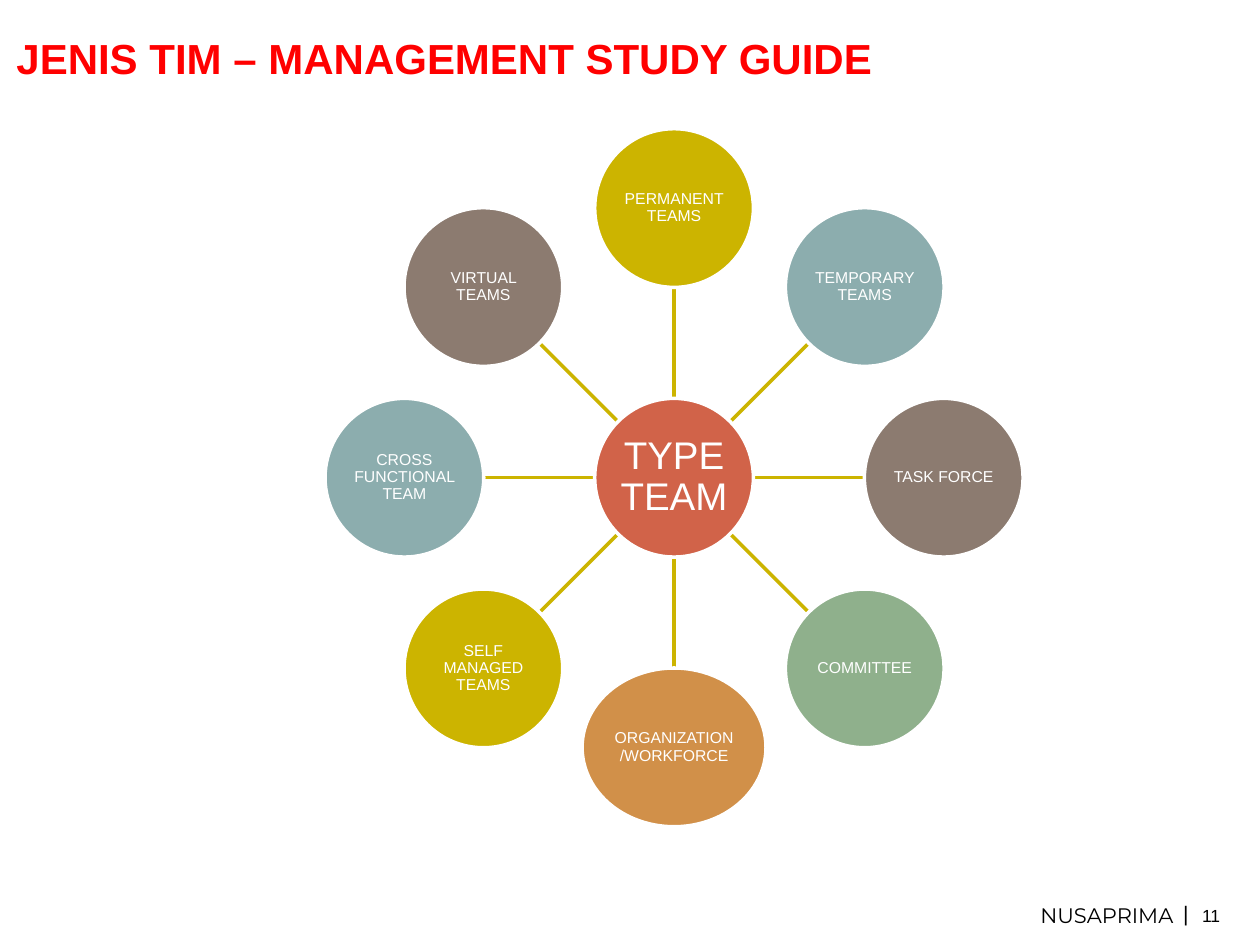
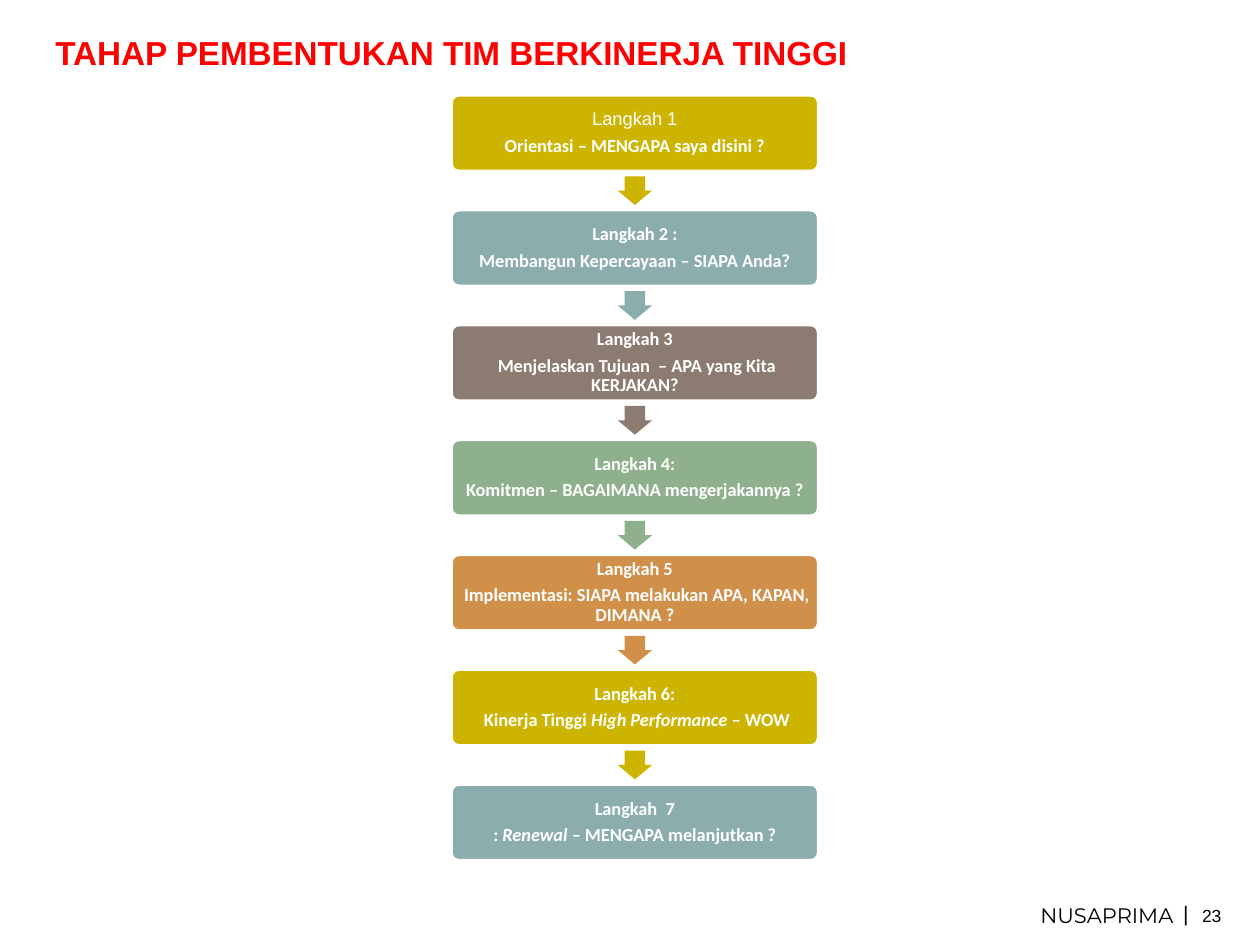
import math

import pptx
import pptx.dml.color
import pptx.enum.shapes
import pptx.enum.text
import pptx.oxml.ns
import pptx.util
from lxml import etree

Pt = pptx.util.Pt
RGBColor = pptx.dml.color.RGBColor
Shape = pptx.enum.shapes.MSO_SHAPE
Align = pptx.enum.text.PP_ALIGN
Anchor = pptx.enum.text.MSO_ANCHOR

WHITE = RGBColor(0xFF, 0xFF, 0xFF)
BLACK = RGBColor(0, 0, 0)
RED = RGBColor(0xFF, 0, 0)
RUST = RGBColor(0xD1, 0x63, 0x49)
GOLD = RGBColor(0xCC, 0xB4, 0x00)
TEAL = RGBColor(0x8C, 0xAD, 0xAE)
BROWN = RGBColor(0x8C, 0x7B, 0x70)
GREEN = RGBColor(0x8F, 0xB0, 0x8C)
ORANGE = RGBColor(0xD1, 0x90, 0x49)
ACCENTS = [GOLD, TEAL, BROWN, GREEN, ORANGE]

HUB_X, HUB_Y = 385.2, 273
ORBIT = 154.1
CIRCLE = 90.7
WIDE_CIRCLE = 105.1

STEP_LEFT, STEP_TOP = 257.8, 54.2
STEP_WIDTH, STEP_HEIGHT = 210, 43.8
STEP_PITCH = 65.64
ARROW_WIDTH, ARROW_HEIGHT = 19.6, 16.4

TEAMS = [
    "PERMANENT TEAMS",
    "TEMPORARY TEAMS",
    "TASK FORCE",
    "COMMITTEE",
    "ORGANIZATION /WORKFORCE",
    "SELF MANAGED TEAMS",
    "CROSS FUNCTIONAL TEAM",
    "VIRTUAL TEAMS",
]

# Each step: heading, then text pieces that alternate upright and italic.
STEPS = [
    ("Langkah 1", ["Orientasi – MENGAPA saya disini ?"]),
    ("Langkah 2 :", ["Membangun Kepercayaan – SIAPA Anda?"]),
    ("Langkah 3", [" Menjelaskan Tujuan  – APA yang Kita KERJAKAN?"]),
    ("Langkah 4:", ["Komitmen – BAGAIMANA mengerjakannya ?"]),
    ("Langkah 5", [" Implementasi: SIAPA melakukan APA, KAPAN, DIMANA ?"]),
    ("Langkah 6:", [" Kinerja Tinggi ", "High Performance", " – WOW"]),
    ("Langkah  7", [": ", "Renewal", " – MENGAPA melanjutkan ?"]),
]


def accent(index):
    return ACCENTS[index % len(ACCENTS)]


def set_font(para, size, color, name="Arial", bold=False):
    para.font.size = Pt(size)
    para.font.name = name
    para.font.bold = bold
    para.font.color.rgb = color


def set_insets(frame, inset):
    frame.margin_left = frame.margin_right = Pt(inset)
    frame.margin_top = frame.margin_bottom = Pt(inset)


def add_label(page, left, top, width, height, text, size, color=BLACK,
              name="Arial", bold=False, align=Align.LEFT, wrap=False):
    box = page.shapes.add_textbox(Pt(left), Pt(top), Pt(width), Pt(height))
    set_insets(box.text_frame, 0)
    box.text_frame.word_wrap = wrap
    para = box.text_frame.paragraphs[0]
    para.text = text
    para.alignment = align
    set_font(para, size, color, name, bold)


def add_filled(page, kind, left, top, width, height, color, outlined=True):
    shape = page.shapes.add_shape(kind, Pt(left), Pt(top), Pt(width), Pt(height))
    shape.shadow.inherit = False
    shape.fill.solid()
    shape.fill.fore_color.rgb = color
    if outlined:
        shape.line.color.rgb = WHITE
        shape.line.width = Pt(2)
    else:
        shape.line.fill.background()
    return shape


def start_text(shape, inset):
    """Prepare the shape's text frame and return its first paragraph."""
    frame = shape.text_frame
    set_insets(frame, inset)
    frame.word_wrap = True
    frame.vertical_anchor = Anchor.MIDDLE
    return frame.paragraphs[0]


def center(para):
    para.alignment = Align.CENTER
    para.line_spacing = 0.9


def add_circle(page, x, y, width, color, text, size):
    """Add a labelled ellipse centred on x, y."""
    circle = add_filled(page, Shape.OVAL, x - width / 2, y - CIRCLE / 2,
                        width, CIRCLE, color)
    para = start_text(circle, 1)
    para.text = text
    center(para)
    set_font(para, size, WHITE)


def add_spoke(page, angle):
    """Join the hub's rim to the rim of the circle at this angle."""
    near, far = CIRCLE / 2, ORBIT - CIRCLE / 2
    dx, dy = math.sin(angle), -math.cos(angle)
    spoke = page.shapes.add_connector(
        pptx.enum.shapes.MSO_CONNECTOR.STRAIGHT,
        Pt(HUB_X + near * dx), Pt(HUB_Y + near * dy),
        Pt(HUB_X + far * dx), Pt(HUB_Y + far * dy))
    spoke.line.color.rgb = GOLD
    spoke.line.width = Pt(2)
    etree.SubElement(spoke._element.spPr, pptx.oxml.ns.qn("a:effectLst"))


def add_step(page, index, heading, pieces):
    top = STEP_TOP + index * STEP_PITCH
    step = add_filled(page, Shape.ROUNDED_RECTANGLE, STEP_LEFT, top,
                      STEP_WIDTH, STEP_HEIGHT, accent(index))
    step.adjustments[0] = 0.1
    para = start_text(step, 3.3)
    para.text = heading
    center(para)
    if index == 0:
        set_font(para, 10.5, WHITE)
    else:
        set_font(para, 10.5, WHITE, "Calibri", True)

    para = step.text_frame.add_paragraph()
    center(para)
    para.space_before = Pt(3.7)
    set_font(para, 10.5, WHITE, "Calibri", True)
    for number, piece in enumerate(pieces):
        span = para.add_run()
        span.text = piece
        if number % 2:
            span.font.italic = True


def add_step_arrow(page, index):
    """Add the arrow in the gap below a step."""
    gap = STEP_PITCH - STEP_HEIGHT
    top = STEP_TOP + index * STEP_PITCH + STEP_HEIGHT + (gap - ARROW_HEIGHT) / 2
    left = STEP_LEFT + (STEP_WIDTH - ARROW_WIDTH) / 2
    arrow = add_filled(page, Shape.DOWN_ARROW, left, top, ARROW_WIDTH,
                       ARROW_HEIGHT, accent(index), outlined=False)
    arrow.adjustments[0] = 0.6
    arrow.adjustments[1] = 0.5


def add_page(deck, title, title_left, title_size, number):
    page = deck.slides.add_slide(deck.slide_layouts[6])
    add_label(page, title_left, 18.7, 702 - title_left, title_size * 1.2, title,
              title_size, RED, bold=True, wrap=True)
    add_label(page, 583.9, 515.5, 97.2, 15, "NUSAPRIMA", 12, name="Montserrat",
              align=Align.CENTER, wrap=True)
    add_label(page, 676.1, 514.5, 3, 15, "|", 12)
    add_label(page, 686.9, 517, 16, 12, number, 10)
    return page


def build_team_types(deck):
    page = add_page(deck, "JENIS TIM – MANAGEMENT STUDY GUIDE", 9.4, 24, "11")
    angles = [2 * math.pi * index / len(TEAMS) for index in range(len(TEAMS))]
    for angle in angles:
        add_spoke(page, angle)
    add_circle(page, HUB_X, HUB_Y, CIRCLE, RUST, "TYPE TEAM", 22)
    for index, (team, angle) in enumerate(zip(TEAMS, angles)):
        width = WIDE_CIRCLE if team.startswith("ORGANIZATION") else CIRCLE
        add_circle(page, HUB_X + ORBIT * math.sin(angle),
                   HUB_Y - ORBIT * math.cos(angle), width, accent(index), team, 9)


def build_team_steps(deck):
    page = add_page(deck, "TAHAP PEMBENTUKAN TIM BERKINERJA TINGGI", 31.7, 19, "23")
    for index, (heading, pieces) in enumerate(STEPS):
        add_step(page, index, heading, pieces)
        if index < len(STEPS) - 1:
            add_step_arrow(page, index)


def main():
    deck = pptx.Presentation()
    deck.slide_width, deck.slide_height = Pt(720), Pt(540)
    build_team_types(deck)
    build_team_steps(deck)
    deck.save("out.pptx")


if __name__ == "__main__":
    main()
